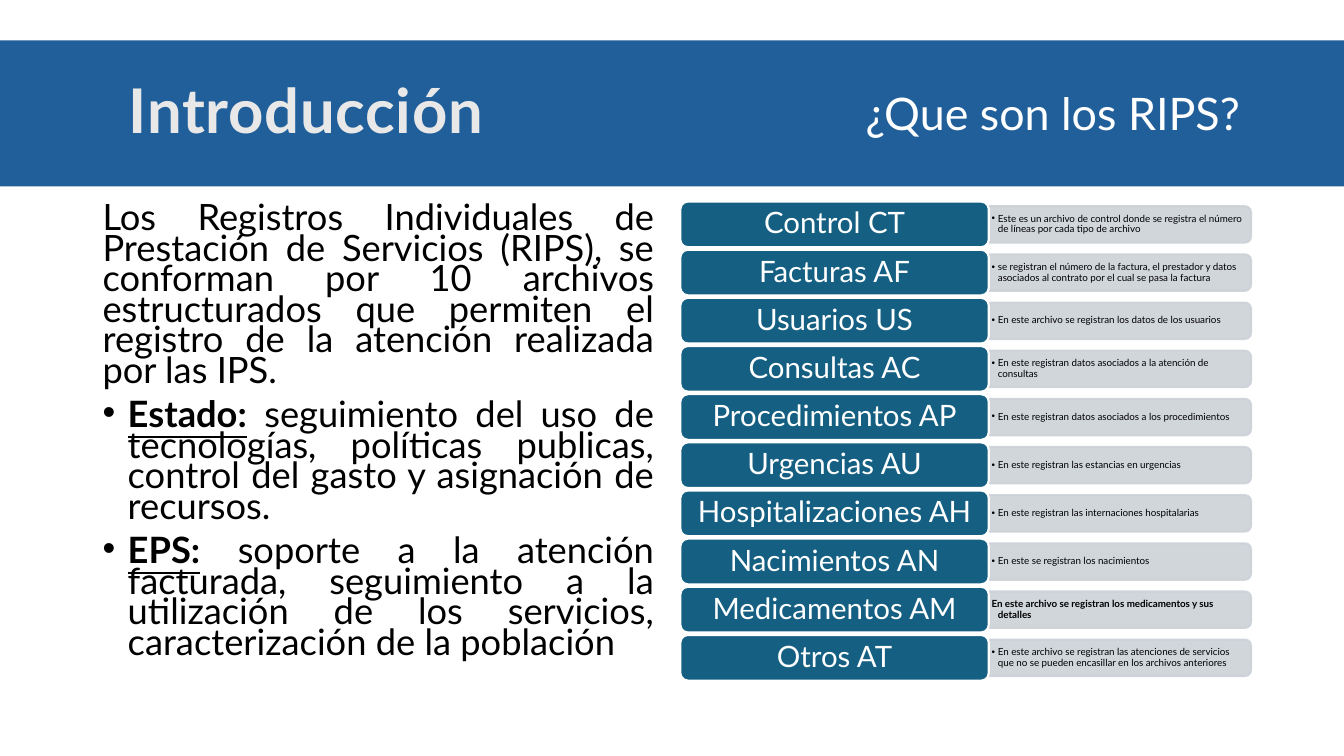
from dataclasses import dataclass

from lxml import etree
from pptx import Presentation
from pptx.dml.color import RGBColor
from pptx.enum.shapes import MSO_SHAPE
from pptx.enum.text import MSO_ANCHOR, PP_ALIGN
from pptx.oxml.ns import qn
from pptx.util import Pt

RECT = MSO_SHAPE.RECTANGLE
PILL = MSO_SHAPE.ROUNDED_RECTANGLE
TAB = MSO_SHAPE.ROUND_2_SAME_RECTANGLE
MIDDLE, TOP = MSO_ANCHOR.MIDDLE, MSO_ANCHOR.TOP
LEFT, CENTER, JUSTIFY = PP_ALIGN.LEFT, PP_ALIGN.CENTER, PP_ALIGN.JUSTIFY


@dataclass(frozen=True)
class Theme:
    font: str = "Lato"
    banner: str = "215F9A"
    title: str = "E8E8E8"
    label: str = "156082"
    panel: str = "CCD2D8"
    white: str = "FFFFFF"
    black: str = "000000"
    title_size: float = 44
    subtitle_size: float = 32
    body_size: float = 25.9
    label_size: float = 21
    detail_size: float = 7


THEME = Theme()

INTRO = [
    ("", "Los Registros Individuales de Prestación de Servicios (RIPS), se conforman "
         "por 10 archivos estructurados que permiten el registro de la atención "
         "realizada por las IPS."),
    ("Estado:", " seguimiento del uso de tecnologías, políticas publicas, control del "
                "gasto y asignación de recursos."),
    ("EPS:", " soporte a la atención facturada, seguimiento a la utilización de los "
             "servicios, caracterización de la población"),
]

# Label, detail, and whether the detail is a bold line without a bullet
FILES = [
    ("Control CT", "Este es un archivo de control donde se registra el número de líneas "
                   "por cada tipo de archivo", False),
    ("Facturas AF", "se registran el número de la factura, el prestador y datos asociados "
                    "al contrato por el cual se pasa la factura", False),
    ("Usuarios US", "En este archivo se registran los datos de los usuarios", False),
    ("Consultas AC", "En este registran datos asociados a la atención de consultas", False),
    ("Procedimientos AP", "En este registran datos asociados a los procedimientos", False),
    ("Urgencias AU", "En este registran las estancias en urgencias", False),
    ("Hospitalizaciones AH", "En este registran las internaciones hospitalarias", False),
    ("Nacimientos AN", "En este se registran los nacimientos", False),
    ("Medicamentos AM", "En este archivo se registran los medicamentos y sus detalles", True),
    ("Otros AT", "En este archivo se registran las atenciones de servicios que no se "
                 "pueden encasillar en los archivos anteriores", False),
]


def rgb(color):
    return RGBColor.from_string(color)


def add_panel(slide, kind, box, fill, line=None):
    panel = slide.shapes.add_shape(kind, *map(Pt, box))
    panel.shadow.inherit = False
    panel.fill.solid()
    panel.fill.fore_color.rgb = rgb(fill)
    if line:
        panel.line.color.rgb = rgb(line)
        panel.line.width = Pt(1.5)
    else:
        panel.line.fill.background()
    return panel


def add_text_box(slide, box):
    return slide.shapes.add_textbox(*map(Pt, box)).text_frame


def set_frame(frame, anchor, side, edge):
    frame.word_wrap = True
    frame.vertical_anchor = anchor
    frame.margin_left = frame.margin_right = Pt(side)
    frame.margin_top = frame.margin_bottom = Pt(edge)


def style(paragraph, size, color, align=LEFT, spacing=0.9, bold=None):
    paragraph.alignment = align
    paragraph.line_spacing = spacing
    font = paragraph.font
    font.name, font.size, font.bold = THEME.font, Pt(size), bold
    font.color.rgb = rgb(color)


def hang(paragraph, indent, bullet=True):
    """Give the paragraph a hanging indent, with or without a bullet."""
    properties = paragraph._p.get_or_add_pPr()
    properties.set("marL", str(Pt(indent)))
    properties.set("indent", str(-Pt(indent)))
    if bullet:
        etree.SubElement(properties, qn("a:buFont"), typeface="Arial")
        etree.SubElement(properties, qn("a:buChar"), char="•")
    else:
        etree.SubElement(properties, qn("a:buNone"))


def make_translucent(panel, percent):
    for color in panel._element.spPr.iter(qn("a:srgbClr")):
        etree.SubElement(color, qn("a:alpha"), val=str(percent * 1000))


def add_banner(slide, box):
    left, top, width, height = box
    banner = add_panel(slide, RECT, box, THEME.banner).text_frame
    set_frame(banner, MIDDLE, 7.2, 3.6)
    banner.margin_left = Pt(92)
    title = banner.paragraphs[0]
    title_run = title.add_run()
    title_run.text = "Introducción"
    title_run._r.get_or_add_rPr().set("spc", "50")
    style(title, THEME.title_size, THEME.title, bold=True)

    question_frame = add_text_box(slide, (left + 611.3, top + 28.8, 283, 46))
    set_frame(question_frame, TOP, 7.2, 3.6)
    question = question_frame.paragraphs[0]
    question.text = "¿Que son los RIPS?"
    style(question, THEME.subtitle_size, THEME.white, spacing=1.0)


def add_intro(slide, box):
    frame = add_text_box(slide, box)
    set_frame(frame, TOP, 7.2, 3.6)
    for index, (term, text) in enumerate(INTRO):
        paragraph = frame.add_paragraph() if index else frame.paragraphs[0]
        if term:
            paragraph.space_before = Pt(10)
            hang(paragraph, 18)
            term_run = paragraph.add_run()
            term_run.text = term
            term_run.font.bold = term_run.font.underline = True
        paragraph.add_run().text = text
        style(paragraph, THEME.body_size, THEME.black, JUSTIFY, 0.7)


def add_file_row(slide, box, label, detail, plain_bold):
    left, top, width, height = box
    label_width, panel_height = 220.3, 26
    panel_width = width - label_width
    panel_left = left + label_width
    middle = top + height / 2

    # A quarter turn puts the two rounded corners on the right
    panel = add_panel(slide, TAB,
                      (panel_left + (panel_width - panel_height) / 2,
                       middle - panel_width / 2, panel_height, panel_width),
                      THEME.panel, THEME.panel)
    panel.rotation = 90
    make_translucent(panel, 90)

    detail_frame = add_text_box(
        slide, (panel_left, middle - 12, panel_width - 1, 24))
    set_frame(detail_frame, MIDDLE, 2, 0.9)
    detail_line = detail_frame.paragraphs[0]
    detail_line.text = detail
    hang(detail_line, 4.5, bullet=not plain_bold)
    style(detail_line, THEME.detail_size, THEME.black, bold=plain_bold)

    pill = add_panel(slide, PILL, (left, top, label_width, height),
                     THEME.label, THEME.white).text_frame
    set_frame(pill, MIDDLE, 8, 4)
    label_line = pill.paragraphs[0]
    label_line.text = label
    style(label_line, THEME.label_size, THEME.white, CENTER)


def add_file_list(slide, box):
    left, top, width, height = box
    row_height = 32.6
    step = (height - row_height) / (len(FILES) - 1)
    for index, entry in enumerate(FILES):
        add_file_row(slide, (left, top + index * step, width, row_height), *entry)


def main():
    deck = Presentation()
    deck.slide_width, deck.slide_height = Pt(960), Pt(540)
    slide = deck.slides.add_slide(deck.slide_layouts[6])
    add_banner(slide, (0, 28.8, 960, 104.4))
    add_intro(slide, (66.2, 144, 408.2, 342.7))
    add_file_list(slide, (486, 144, 407.6, 342.2))
    deck.save("out.pptx")


if __name__ == "__main__":
    main()
